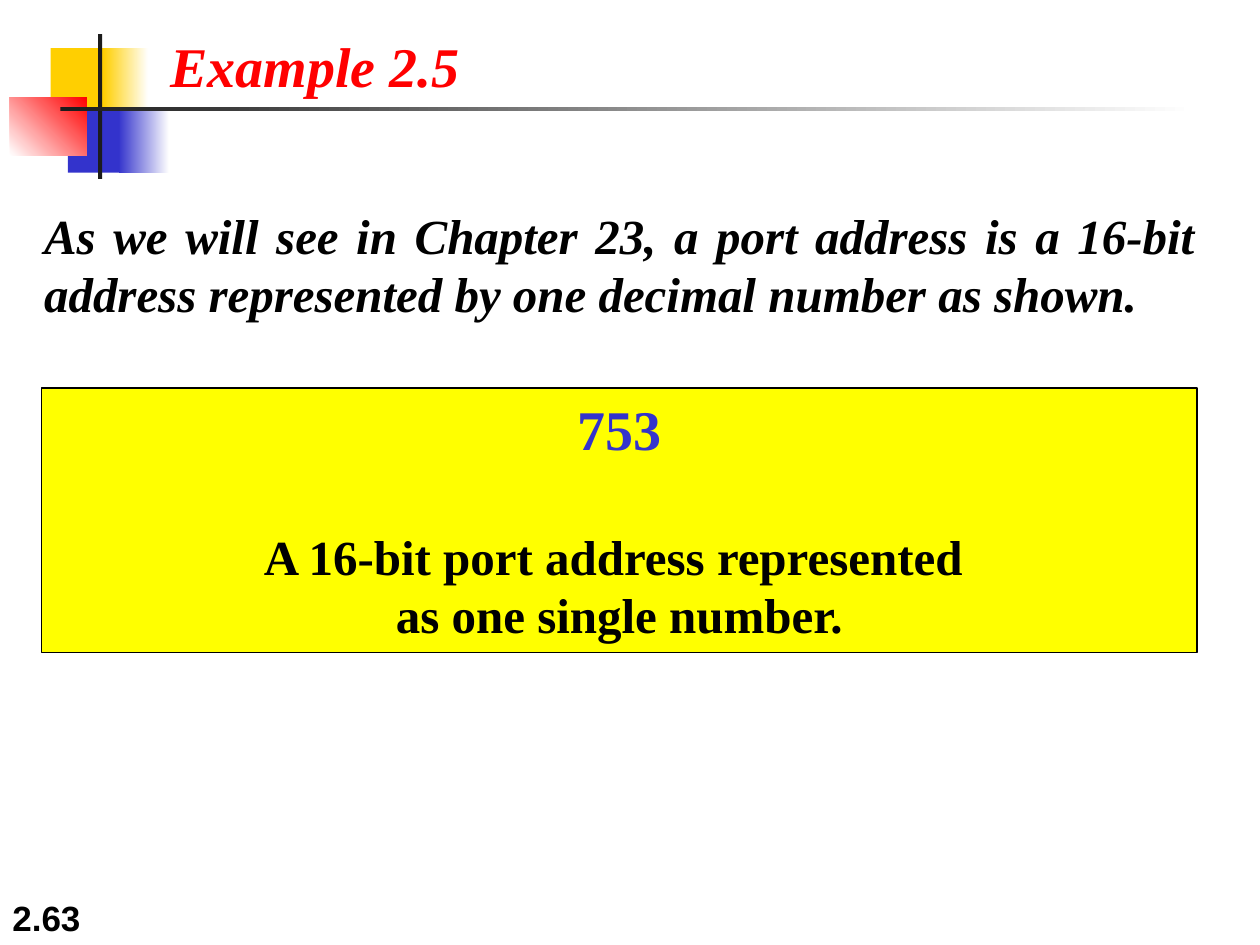
from dataclasses import dataclass

from pptx import Presentation
from pptx.dml.color import RGBColor
from pptx.enum.shapes import MSO_SHAPE
from pptx.enum.text import MSO_ANCHOR, MSO_AUTO_SIZE, PP_ALIGN
from pptx.util import Cm, Pt


@dataclass(frozen=True)
class Theme:
    white: str = "FFFFFF"
    black: str = "000000"
    gold: str = "FFCF01"
    blue: str = "3333CC"
    red: str = "FF0000"
    yellow: str = "FFFF00"
    rule: str = "1C1C1C"
    serif: str = "Times New Roman"
    sans: str = "Arial"
    large: int = 32
    body: int = 28
    number: int = 20


T = Theme()


def add_rect(s, box, colors, angle=0):
    """Add an unlined rectangle: one colour is solid, two make a gradient."""
    sp = s.shapes.add_shape(MSO_SHAPE.RECTANGLE, *map(Cm, box))
    sp.shadow.inherit = False
    sp.line.fill.background()
    if len(colors) == 1:
        sp.fill.solid()
        sp.fill.fore_color.rgb = RGBColor.from_string(colors[0])
    else:
        sp.fill.gradient()
        sp.fill.gradient_angle = angle
        for stop, color in zip(sp.fill.gradient_stops, colors):
            stop.color.rgb = RGBColor.from_string(color)
    return sp


def write(tf, lines, align=PP_ALIGN.LEFT, italic=False, anchor=MSO_ANCHOR.TOP, wrap=True):
    """Fill a text frame with (text, size, colour, font) paragraphs."""
    tf.text = "\n".join(line[0] for line in lines)
    tf.auto_size = MSO_AUTO_SIZE.NONE
    tf.word_wrap = wrap
    tf.vertical_anchor = anchor
    for p, (_, size, color, font) in zip(tf.paragraphs, lines):
        p.alignment = align
        for r in p.runs:
            r.font.name = font
            r.font.size = Pt(size)
            r.font.bold = True
            r.font.italic = italic
            r.font.color.rgb = RGBColor.from_string(color)


prs = Presentation()
prs.slide_width, prs.slide_height = Cm(25.4), Cm(19.05)
s = prs.slides.add_slide(prs.slide_layouts[5])

# Corner ornament and rules
for box, colors, angle in [
    ((1.02, 0.97, 1.22, 1.32), [T.gold], 0),
    ((2.08, 0.97, 0.91, 1.32), [T.gold, T.white], 0),
    ((1.37, 2.16, 1.17, 1.32), [T.blue], 0),
    ((2.39, 2.16, 1.02, 1.32), [T.blue, T.white], 0),
    ((0.2, 1.96, 1.55, 1.17), [T.white, T.red], 45),
    ((1.98, 0.69, 0.08, 2.92), [T.rule], 0),
    ((1.22, 2.16, 22.86, 0.08), [T.rule, T.white], 0),
]:
    add_rect(s, box, colors, angle)

# Title
title = s.shapes.title
title.left, title.top, title.width, title.height = map(Cm, (3.18, 0.51, 6.35, 1.63))
write(title.text_frame, [("Example 2.5", T.large, T.red, T.serif)], italic=True, wrap=False)

# Introduction
intro = s.shapes.add_textbox(Cm(0.64), Cm(4.01), Cm(23.7), Cm(2.64))
write(
    intro.text_frame,
    [("As we will see in Chapter 23, a port address is a 16-bit address "
      "represented by one decimal number as shown.", T.body, T.black, T.serif)],
    align=PP_ALIGN.JUSTIFY,
    italic=True,
)

# Port address panel
panel = add_rect(s, (0.84, 7.82, 23.29, 5.33), [T.yellow])
panel.line.color.rgb = RGBColor.from_string(T.black)
panel.line.width = Pt(0.75)
write(
    panel.text_frame,
    [("753", T.large, T.blue, T.serif),
     ("A 16-bit port address represented \vas one single number.", T.body, T.black, T.serif)],
    align=PP_ALIGN.CENTER,
)
panel.text_frame.paragraphs[1].space_before = Pt(37)

# Page number
number = s.shapes.add_textbox(Cm(0), Cm(17.78), Cm(5.28), Cm(1.27))
write(number.text_frame, [("2.63", T.number, T.black, T.sans)], anchor=MSO_ANCHOR.BOTTOM)

prs.save("out.pptx")
